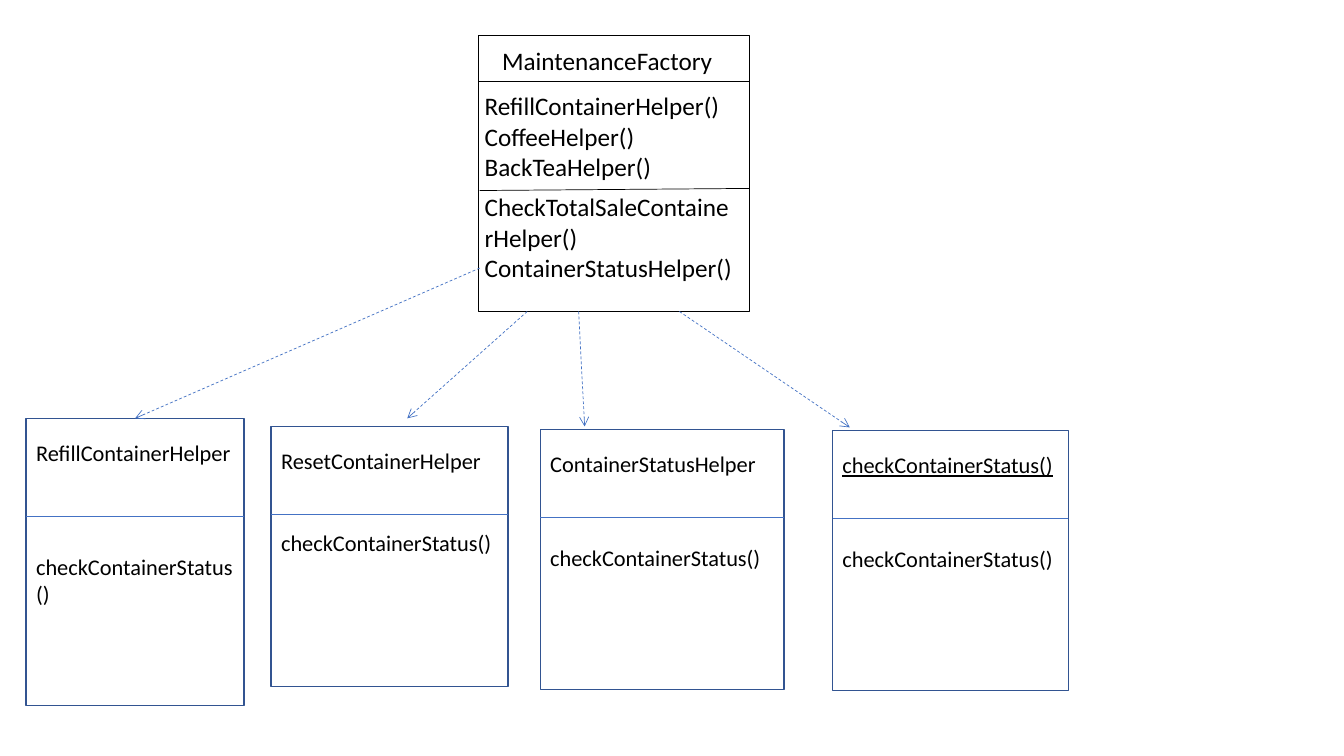
from pptx import Presentation
from pptx.util import Pt
from pptx.dml.color import RGBColor
from pptx.enum.dml import MSO_LINE as Dash
from pptx.enum.shapes import MSO_SHAPE as Shape, MSO_CONNECTOR as Link
from pptx.enum.text import MSO_ANCHOR as Anchor, MSO_AUTO_SIZE as Fit, PP_ALIGN as Align
from pptx.oxml.ns import qn
from lxml.etree import SubElement

INK = {"black": "000000", "navy": "325491", "blue": "4472C4"}
CHECK = "checkContainerStatus()"

deck = Presentation()
deck.slide_width, deck.slide_height = Pt(960), Pt(540)
slide = deck.slides.add_slide(deck.slide_layouts[5])
shapes = slide.shapes


def write(box, lines, size, under=None):
    frame = box.text_frame
    frame.text = "\n".join(lines)
    frame.word_wrap = True
    frame.auto_size = Fit.NONE
    frame.vertical_anchor = Anchor.TOP
    for para in frame.paragraphs:
        para.alignment = Align.LEFT
        para.font.name = "Calibri"
        para.font.size = Pt(size)
        para.font.underline = under
        para.font.color.rgb = RGBColor.from_string(INK["black"])


def draw(x1, y1, x2, y2, ink, arrow=False):
    line = shapes.add_connector(Link.STRAIGHT, Pt(x1), Pt(y1), Pt(x2), Pt(y2))
    line.line.width = Pt(0.5)
    line.line.color.rgb = RGBColor.from_string(INK[ink])
    if arrow:
        line.line.dash_style = Dash.DASH
        SubElement(line.line._get_or_add_ln(), qn("a:tailEnd"), type="arrow")
    SubElement(line._element.spPr, qn("a:effectLst"))


title = shapes.title
title.left, title.top, title.width, title.height = Pt(351.4), Pt(28.8), Pt(175), Pt(29)
write(title, ["MaintenanceFactory"], 18)

boxes = [
    (Shape.FLOWCHART_PROCESS, 342, 25.2, 193.2, 197.3, "black"),
    (Shape.RECTANGLE, 18.7, 298.8, 155.5, 205.2, "navy"),
    (Shape.RECTANGLE, 193.7, 304.6, 169.2, 185.8, "navy"),
    (Shape.RECTANGLE, 385.9, 306.7, 174.2, 185.8, "navy"),
    (Shape.RECTANGLE, 594.7, 307.4, 168.5, 185.8, "navy"),
]
for kind, x, y, w, h, ink in boxes:
    box = shapes.add_shape(kind, Pt(x), Pt(y), Pt(w), Pt(h))
    box.shadow.inherit = False
    box.fill.background()
    box.line.width = Pt(1)
    box.line.color.rgb = RGBColor.from_string(INK[ink])

draw(342, 58.3, 535.2, 58.3, "black")
draw(342.7, 136.1, 535.2, 134.6, "black")
parts = [
    (61.2, 72, ["RefillContainerHelper()", "CoffeeHelper()", "BackTeaHelper()"]),
    (133.4, 73, ["CheckTotalSaleContainerHelper()", "ContainerStatusHelper()"]),
]
for y, h, lines in parts:
    write(shapes.add_textbox(Pt(339.1), Pt(y), Pt(193), Pt(h)), lines, 18)

helpers = [
    ("RefillContainerHelper", 368.6, 391.7, None),
    ("ResetContainerHelper", 367.2, 374.4, None),
    ("ContainerStatusHelper", 369.4, 385.2, None),
    (CHECK, 370.1, 385.9, True),
]
for (kind, x, y, w, h, ink), (name, rule, call, under) in zip(boxes[1:], helpers):
    write(shapes.add_textbox(Pt(x), Pt(y + 11.5), Pt(w), Pt(26.6)), [name], 16, under)
    draw(x, rule, x + w, rule, "blue")
    write(shapes.add_textbox(Pt(x), Pt(call), Pt(w), Pt(47)), [CHECK], 16)

arrows = [
    (342.7, 191.5, 96.5, 298.8),
    (376.6, 222.5, 290.9, 298.8),
    (413.3, 222.5, 417.6, 304.6),
    (485.3, 222.5, 607, 305.3),
]
for ends in arrows:
    draw(*ends, "blue", True)

deck.save("out.pptx")
